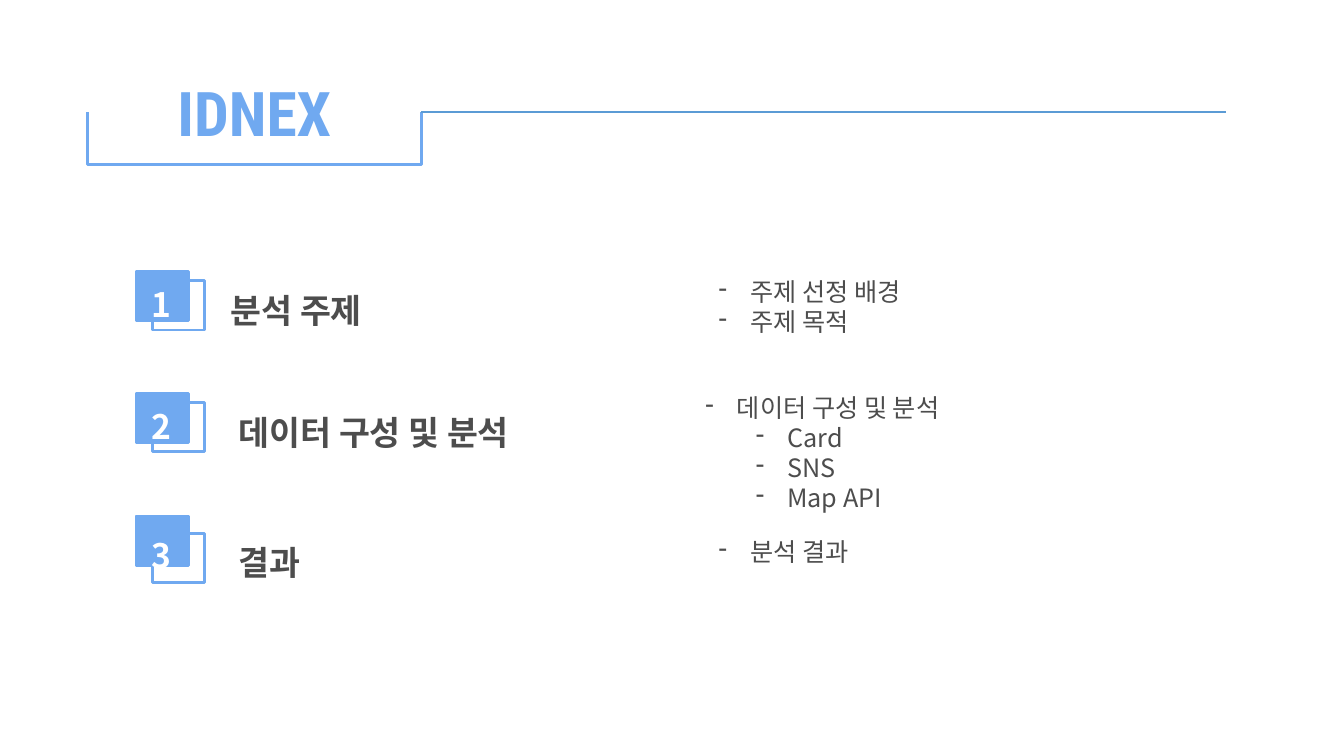
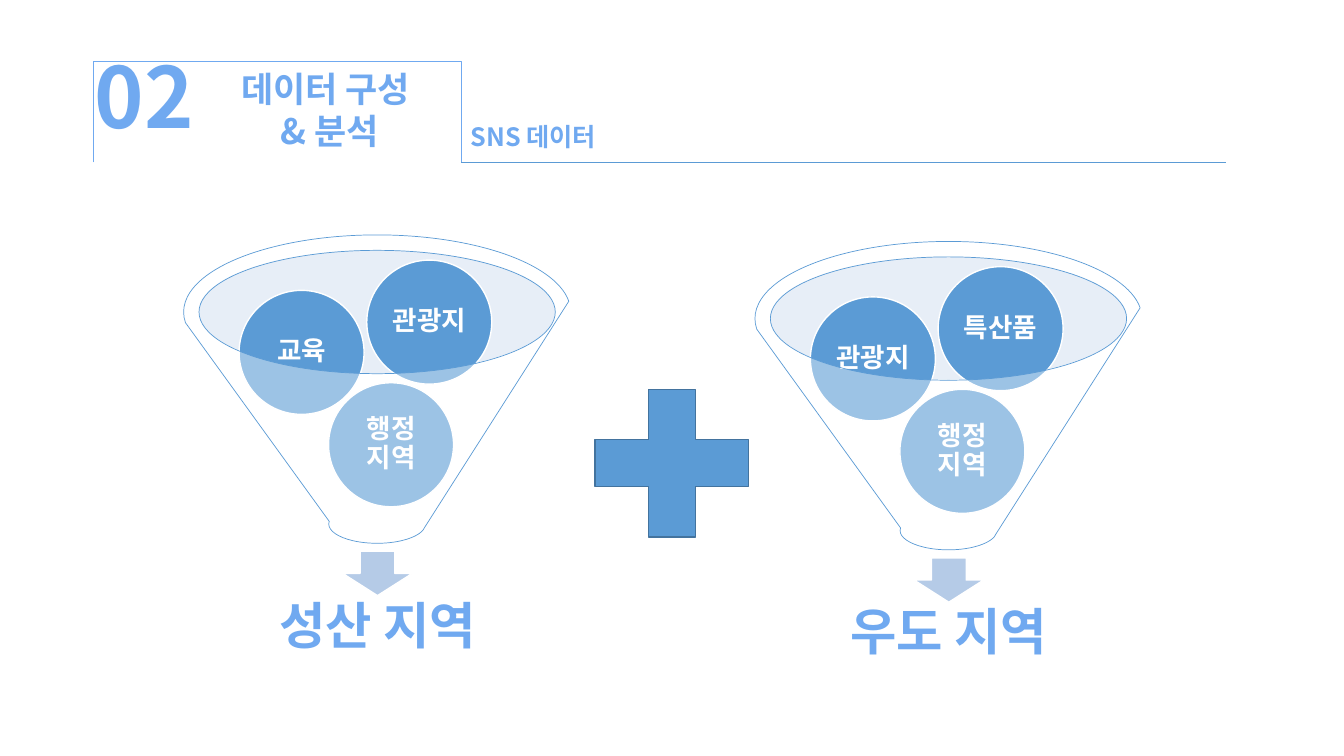
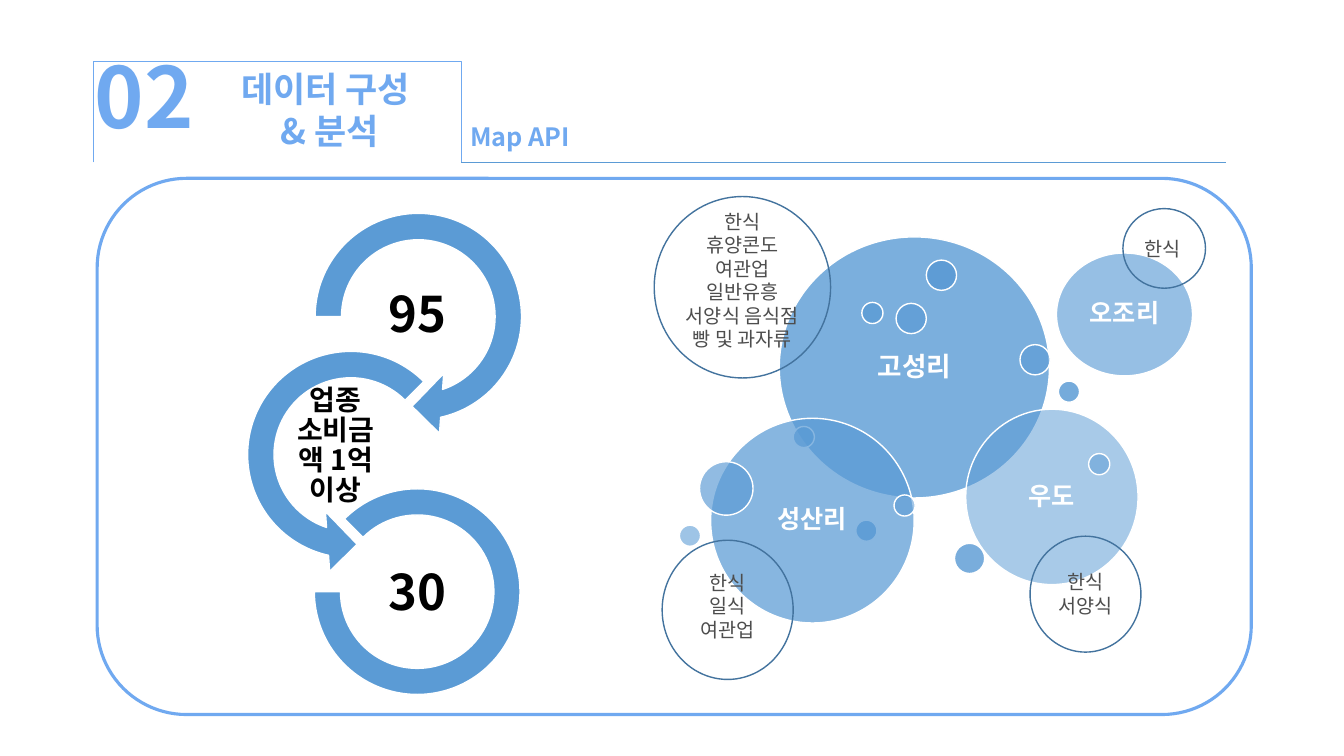
from dataclasses import dataclass
from typing import NamedTuple, Optional, Sequence

from lxml.etree import SubElement
from pptx import Presentation
from pptx.dml.color import RGBColor
from pptx.enum.shapes import MSO_CONNECTOR, MSO_SHAPE
from pptx.enum.text import MSO_ANCHOR, MSO_AUTO_SIZE, PP_ALIGN
from pptx.oxml.ns import qn
from pptx.util import Pt

COLORS = {
    "sky": "70A9F0",
    "blue": "5B9BD5",
    "navy": "43739E",
    "mouth": "C4D5EB",
    "arrow": "B5CBE7",
    "ink": "4D4D4D",
    "black": "000000",
    "white": "FFFFFF",
}
KOREAN = "Noto Sans CJK KR"
TITLE_ONLY = 5
RULE_END = 875.5


class Box(NamedTuple):
    left: float
    top: float
    width: float
    height: float

    def moved(self, dx: float, dy: float) -> "Box":
        return Box(self.left + dx, self.top + dy, self.width, self.height)

    def lengths(self) -> list:
        return [Pt(value) for value in self]


@dataclass(frozen=True)
class TextStyle:
    size: float
    color: str = "sky"
    bold: bool = True
    align: PP_ALIGN = PP_ALIGN.LEFT
    spacing: float = 1.0
    font: str = KOREAN


@dataclass(frozen=True)
class Line:
    text: str
    level: Optional[int] = None  # bullet level, None for no bullet
    right: float = 0


CENTER = PP_ALIGN.CENTER
INDEX_TITLE = TextStyle(44, align=CENTER, font="Roboto Condensed")
SECTION_TITLE = TextStyle(25, align=CENTER)
SECTION_NUMBER = TextStyle(60)
SECTION_TOPIC = TextStyle(18)
BADGE_NUMBER = TextStyle(24, "white", spacing=1.5)
INDEX_HEADING = TextStyle(24, "ink", spacing=1.5)
INDEX_ITEM = TextStyle(18, "ink", bold=False)
REGION = TextStyle(36, align=CENTER, spacing=0.9)
TOPIC_BALL = TextStyle(19, "white", align=CENTER, spacing=0.9)
VILLAGE = TextStyle(18, "white", align=CENTER, spacing=0.9)
COUNT = TextStyle(35, "black", align=CENTER, spacing=0.9)
CRITERION = TextStyle(20, "black", align=CENTER, spacing=0.9)
CATEGORY = TextStyle(14, "ink", bold=False, align=CENTER)


# Shared drawing functions
def rgb(name: str) -> RGBColor:
    return RGBColor.from_string(COLORS[name])


def write(frame, lines: Sequence[Line], style: TextStyle, wrap: bool = True,
          middle: bool = False, inset: Optional[float] = None) -> None:
    frame.word_wrap = wrap
    frame.auto_size = MSO_AUTO_SIZE.NONE if middle else MSO_AUTO_SIZE.SHAPE_TO_FIT_TEXT
    frame.vertical_anchor = MSO_ANCHOR.MIDDLE if middle else MSO_ANCHOR.TOP
    if inset is not None:
        frame.margin_left = frame.margin_right = Pt(inset)
        frame.margin_top = frame.margin_bottom = Pt(inset)
    for number, line in enumerate(lines):
        paragraph = frame.add_paragraph() if number else frame.paragraphs[0]
        paragraph.alignment = style.align
        paragraph.line_spacing = style.spacing
        properties = paragraph._p.get_or_add_pPr()
        if line.right:
            properties.set("marR", str(Pt(line.right)))
        if line.level is not None:
            paragraph.level = line.level
            properties.set("marL", str(Pt(22.5 + 36 * line.level)))
            properties.set("indent", str(Pt(-22.5)))
            SubElement(properties, qn("a:buChar")).set("char", "-")
        run = paragraph.add_run()
        run.text = line.text
        run.font.name = style.font
        run.font.size = Pt(style.size)
        run.font.bold = style.bold
        run.font.color.rgb = rgb(style.color)
        east_asian = SubElement(run._r.get_or_add_rPr(), qn("a:ea"))
        east_asian.set("typeface", style.font)


def add_text(slide, box: Box, lines: Sequence[Line], style: TextStyle, **layout) -> None:
    write(slide.shapes.add_textbox(*box.lengths()).text_frame, lines, style, **layout)


def add_title(slide, box: Box, lines: Sequence[Line], style: TextStyle,
              wrap: bool = True) -> None:
    title = slide.shapes.title
    title.left, title.top, title.width, title.height = box.lengths()
    write(title.text_frame, lines, style, wrap=wrap)


def add_figure(slide, kind: MSO_SHAPE, box: Box, fill: Optional[str] = None,
               line: Optional[str] = None, weight: float = 1,
               opacity: float = 100, adjust: Sequence[float] = ()):
    figure = slide.shapes.add_shape(kind, *box.lengths())
    figure.shadow.inherit = False
    for index, value in enumerate(adjust):
        figure.adjustments[index] = value
    if fill:
        figure.fill.solid()
        figure.fill.fore_color.rgb = rgb(fill)
        if opacity < 100:
            color = figure._element.spPr.find(".//" + qn("a:srgbClr"))
            SubElement(color, qn("a:alpha")).set("val", str(round(opacity * 1000)))
    else:
        figure.fill.background()
    if line:
        figure.line.color.rgb = rgb(line)
        figure.line.width = Pt(weight)
    else:
        figure.line.fill.background()
    return figure


def add_header_frame(slide, tab: Box, rule_y: float, weight: float, opens_up: bool) -> None:
    """A three-sided tab around the title, and the rule that runs on from it."""
    dx, dy = (tab.width - tab.height) / 2, (tab.height - tab.width) / 2
    upright = Box(tab.left + dx, tab.top + dy, tab.height, tab.width)
    bracket = add_figure(slide, MSO_SHAPE.RIGHT_BRACKET, upright,
                         line="sky", weight=weight, adjust=[0])
    bracket.rotation = 90 if opens_up else 270
    rule = slide.shapes.add_connector(
        MSO_CONNECTOR.STRAIGHT, Pt(tab.left + tab.width), Pt(rule_y), Pt(RULE_END), Pt(rule_y))
    rule.line.color.rgb = rgb("blue")
    rule.line.width = Pt(weight)
    SubElement(rule._element.spPr, qn("a:effectLst"))


def add_slide(deck):
    return deck.slides.add_slide(deck.slide_layouts[TITLE_ONLY])


def add_section_slide(deck, topic: str, topic_width: float):
    slide = add_slide(deck)
    add_header_frame(slide, Box(66.6, 44, 262.8, 72), 116, 0.5, opens_up=False)
    add_text(slide, Box(60.5, 28.5, 144, 80), [Line("02")], SECTION_NUMBER)
    add_title(slide, Box(157.7, 44.6, 149.8, 67.7),
              [Line("데이터 구성"), Line(" & 분석")], SECTION_TITLE, wrap=False)
    add_text(slide, Box(329, 82.8, topic_width, 28.8), [Line(topic)], SECTION_TOPIC, wrap=False)
    return slide


# Slide 1: index
@dataclass(frozen=True)
class IndexEntry:
    badge_top: float
    frame_top: float
    number_top: float
    heading: str
    heading_box: Box
    items: Sequence[Line]
    items_box: Box


INDEX = [
    IndexEntry(193.7, 200.5, 185, "분석 주제", Box(157.7, 189.4, 120.2, 45.4),
               [Line("주제 선정 배경", 0), Line("주제 목적", 0)],
               Box(506.2, 193.7, 164.2, 51.8)),
    IndexEntry(280.8, 287.5, 272.2, "데이터 구성 및 분석", Box(163.4, 276.5, 234, 45.4),
               [Line("데이터 구성 및 분석", 0), Line("Card", 1), Line("SNS", 1),
                Line("Map API", 1)],
               Box(496.8, 276.5, 206.6, 94.3)),
    IndexEntry(368.6, 380.9, 364.3, "결과", Box(163.4, 369.4, 63.4, 45.4),
               [Line("분석 결과", 0)], Box(506.2, 379.4, 261.4, 28.8)),
]


def build_index(deck) -> None:
    slide = add_slide(deck)
    add_header_frame(slide, Box(62.6, 80, 238.4, 37.4), 80, 1.75, opens_up=True)
    add_title(slide, Box(97.2, 49.7, 169.2, 60.5), [Line("IDNEX")], INDEX_TITLE)
    for number, entry in enumerate(INDEX, 1):
        badge = Box(97.2, entry.badge_top, 37.4, 35.3)
        add_figure(slide, MSO_SHAPE.RECTANGLE, badge, "sky", "sky", 2)
        add_figure(slide, MSO_SHAPE.RECTANGLE,
                   badge.moved(11.5, entry.frame_top - entry.badge_top), line="sky", weight=2)
        add_text(slide, Box(100.8, entry.number_top, 29.5, 43.9), [Line(str(number))],
                 BADGE_NUMBER, wrap=False)
        add_text(slide, entry.heading_box, [Line(entry.heading)], INDEX_HEADING, wrap=False)
        add_text(slide, entry.items_box, entry.items, INDEX_ITEM)


# Slide 2: two funnels
class Funnel(NamedTuple):
    left: float
    top: float
    region: str
    topics: Sequence[str]


FUNNELS = [
    Funnel(131.2, 167.8, "성산 지역", ["행정 지역", "교육", "관광지"]),
    Funnel(539.3, 172.5, "우도 지역", ["행정 지역", "관광지", "특산품"]),
]
BALL_OFFSETS = [(103.5, 105.6), (39.6, 39.6), (130.8, 18)]


def add_funnel(slide, funnel: Funnel) -> None:
    def place(*box: float) -> Box:
        return Box(*box).moved(funnel.left, funnel.top)

    add_figure(slide, MSO_SHAPE.OVAL, place(10.8, 10.8, 254.9, 87.8), "mouth", opacity=40)
    add_figure(slide, MSO_SHAPE.DOWN_ARROW, place(113.6, 226, 49.7, 31.7), "arrow", "white")
    add_text(slide, place(20, 251.3, 236.9, 59), [Line(funnel.region)], REGION,
             middle=True, inset=20.2)
    for topic, offset in zip(funnel.topics, BALL_OFFSETS):
        ball = add_figure(slide, MSO_SHAPE.OVAL, place(*offset, 89.3, 88.6), "blue", "white")
        write(ball.text_frame, [Line(topic)], TOPIC_BALL, middle=True, inset=2)
    add_figure(slide, MSO_SHAPE.FUNNEL, place(0, 0, 276.5, 220.3), "white", "blue", 0.5,
               opacity=40)


def build_sns(deck) -> None:
    slide = add_section_slide(deck, "SNS 데이터", 110.2)
    for funnel in FUNNELS:
        add_funnel(slide, funnel)
    add_figure(slide, MSO_SHAPE.MATH_PLUS, Box(405.4, 259.2, 149, 143.3), "blue", "navy")


# Slide 3: arrow chain and village bubbles
class ChainLink(NamedTuple):
    kind: MSO_SHAPE
    box: Box
    adjust: Sequence[float]
    label_box: Box
    lines: Sequence[Line]
    style: TextStyle


class Bubble(NamedTuple):
    box: Box
    village: str = ""


class CategoryNote(NamedTuple):
    box: Box
    ring: Box
    categories: Sequence[str]


CHAIN = [
    ChainLink(MSO_SHAPE.CIRCULAR_ARROW, Box(213.1, 140.4, 171.4, 171.4),
              [0.11, 11.42, 45, 108, 0.125], Box(250.6, 202.3, 95, 47.5),
              [Line("95")], COUNT),
    ChainLink(MSO_SHAPE.LEFT_CIRCULAR_ARROW, Box(164.9, 239, 171.4, 171.4),
              [0.11, 11.42, 63, 189, 0.125], Box(203.8, 277.9, 95, 82),
              [Line("업종", right=23), Line("소비금액 1억 이상")], CRITERION),
    ChainLink(MSO_SHAPE.BLOCK_ARC, Box(224.6, 349.2, 146.9, 146.9),
              [135, 108, 0.127], Box(250.6, 401, 95, 47.5),
              [Line("30")], COUNT),
]


def dot(left: float, top: float, size: float = 15.1) -> Bubble:
    return Bubble(Box(left, top, size, size))


MAIN_BUBBLE = Bubble(Box(556.6, 169.2, 193, 186.5), "고성리")
FADING_BUBBLES = [
    dot(661.7, 185.8, 21.6),
    dot(611.3, 371.5),
    dot(756, 272.2),
    dot(681.8, 388.1, 21.6),
    dot(615.6, 216),
    dot(566.6, 304.6),
    Bubble(Box(507.6, 298.8, 145.4, 146.2), "성산리"),
    dot(640.1, 216.7, 21.6),
    dot(499.7, 329.8, 38.2),
    Bubble(Box(754.6, 180.7, 97.2, 87.8), "오조리"),
    dot(728.6, 246.2, 21.6),
    dot(485.3, 375.1),
    dot(638.6, 353.5),
    Bubble(Box(689.8, 292.3, 123.1, 125.3), "우도"),
    dot(777.6, 324),
]
NOTES = [
    CategoryNote(Box(445, 146.2, 170.6, 108.7), Box(467.3, 140.4, 126, 129.6),
                 ["한식", "휴양콘도", "여관업", "일반유흥", "서양식 음식점", "빵 및 과자류"]),
    CategoryNote(Box(480.2, 403.9, 78.5, 58.3), Box(473, 385.9, 93.6, 99.4),
                 ["한식", "일식", "여관업"]),
    CategoryNote(Box(792.7, 165.6, 74.9, 24.5), Box(802.1, 149, 59, 56.9), ["한식"]),
    CategoryNote(Box(738, 403.9, 74.9, 41), Box(735.8, 383, 79.2, 82.8), ["한식", "서양식"]),
]


def add_bubble(slide, bubble: Bubble, opacity: float, style: TextStyle) -> None:
    circle = add_figure(slide, MSO_SHAPE.OVAL, bubble.box, "blue", "white", opacity=opacity)
    if bubble.village:
        write(circle.text_frame, [Line(bubble.village)], style, middle=True, inset=5)


def build_map(deck) -> None:
    slide = add_section_slide(deck, "Map API", 89.3)
    for link in CHAIN:
        add_figure(slide, link.kind, link.box, "blue", "white", adjust=link.adjust)
        add_text(slide, link.label_box, link.lines, link.style, middle=True, inset=1)
    add_figure(slide, MSO_SHAPE.ROUNDED_RECTANGLE, Box(69.4, 127.4, 824.4, 383),
               line="sky", weight=2.25)
    # Opacity falls evenly from 90 to 50 per cent
    add_bubble(slide, MAIN_BUBBLE, 80, TOPIC_BALL)
    step = 40 / (len(FADING_BUBBLES) - 1)
    for rank, bubble in enumerate(FADING_BUBBLES):
        add_bubble(slide, bubble, 90 - step * rank, VILLAGE)
    for note in NOTES:
        add_text(slide, note.box, [Line(name) for name in note.categories], CATEGORY)
        add_figure(slide, MSO_SHAPE.OVAL, note.ring, line="navy")


def main() -> None:
    deck = Presentation()
    deck.slide_width, deck.slide_height = Pt(960), Pt(540)
    build_index(deck)
    build_sns(deck)
    build_map(deck)
    deck.save("out.pptx")


if __name__ == "__main__":
    main()
